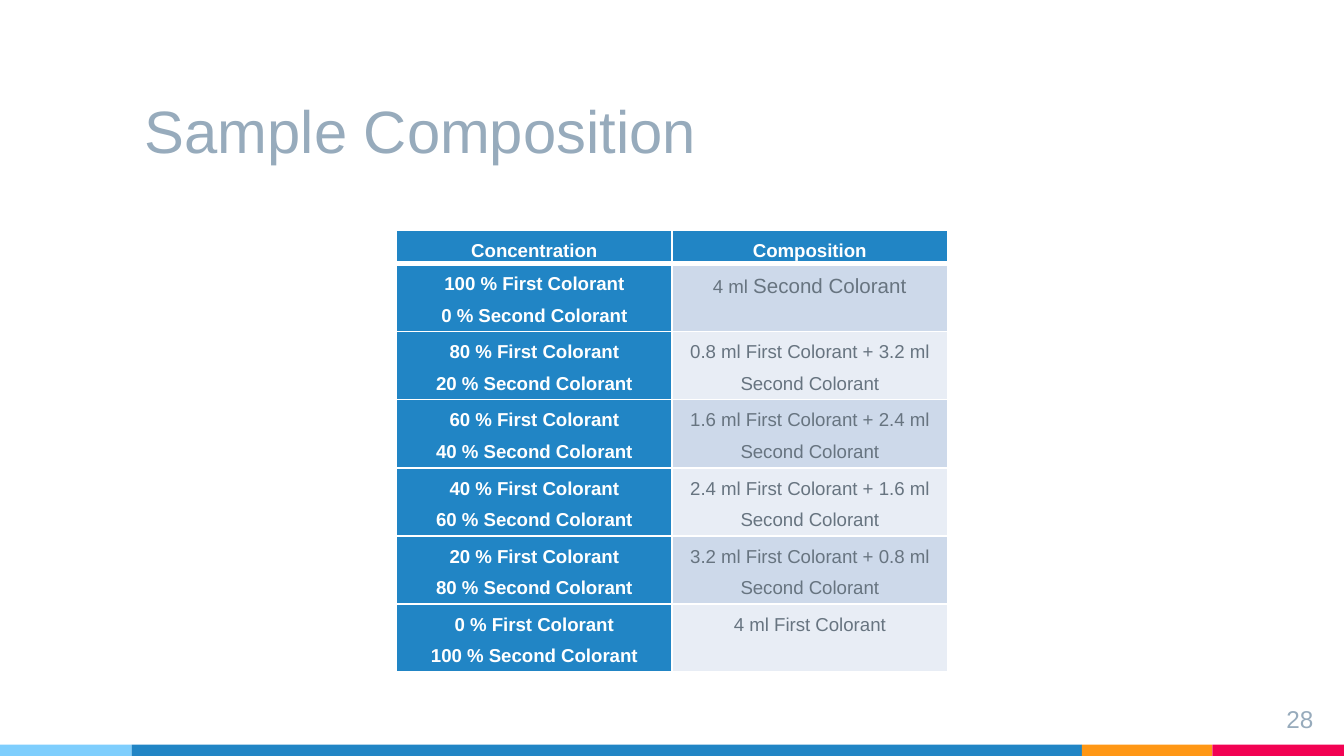
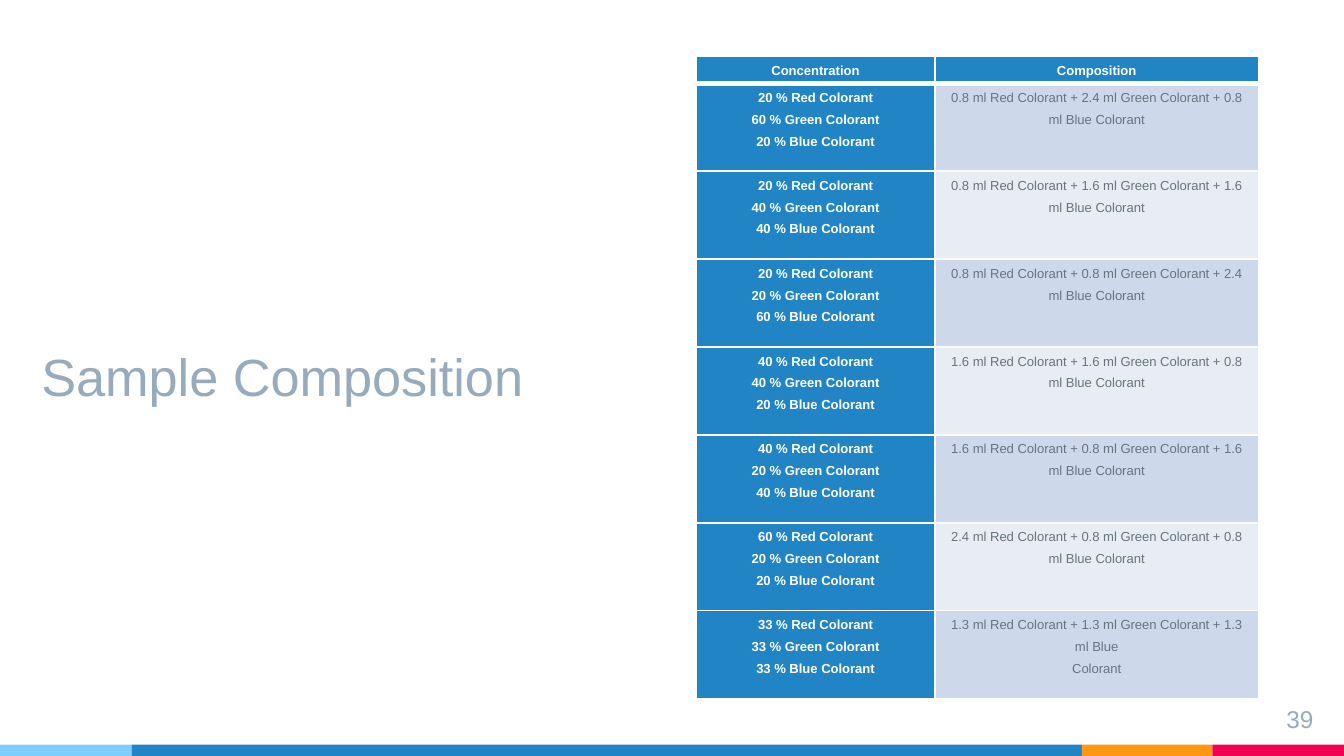
from pptx import Presentation
from pptx.dml.color import RGBColor as Rgb
from pptx.enum.shapes import MSO_SHAPE as Kind
from pptx.enum.text import MSO_ANCHOR as Anchor, PP_ALIGN as Align
from pptx.oxml.ns import qn
from pptx.util import Inches, Pt
from lxml.etree import SubElement as Sub, Element

WHITE = Rgb(0xFF, 0xFF, 0xFF)
BLUE = Rgb(0x21, 0x85, 0xC5)
SKY = Rgb(0x7E, 0xCE, 0xFD)
ORANGE = Rgb(0xFF, 0x97, 0x15)
PINK = Rgb(0xF2, 0x02, 0x53)
STEEL = Rgb(0x97, 0xAB, 0xBC)
SLATE = Rgb(0x67, 0x74, 0x80)
BANDS = Rgb(0xCD, 0xD9, 0xEA), Rgb(0xE8, 0xED, 0xF5)

WIDE, HIGH = Inches(10), Inches(5.625)
COLS, ROWS = 100, 56.25
STRIPES = [(0, SKY), (9.8, BLUE), (80.5, ORANGE), (90.2, PINK)]
TOTAL = 4  # ml in every sample


def col(count):
    """Length of a number of grid columns."""
    return round(WIDE * count / COLS)


def row(count):
    """Length of a number of grid rows."""
    return round(HIGH * count / ROWS)


def edge(props, place, side, width):
    """Put a white border line on one side of a table cell."""
    line = Element(qn("a:ln" + side), w=str(Pt(width)))
    Sub(Sub(line, qn("a:solidFill")), qn("a:srgbClr"), val=str(WHITE))
    props.insert(place, line)


class Deck:
    """Holds the shared style and the current slide."""

    font = "Arial"

    def __init__(self):
        """Start an empty presentation."""
        self.show = Presentation()
        self.show.slide_width, self.show.slide_height = WIDE, HIGH

    def page(self, number):
        """Add a slide with the foot stripes and its number."""
        self.slide = self.show.slides.add_slide(self.show.slide_layouts[6])
        ends = [left for left, _ in STRIPES[1:]] + [COLS]
        for (left, color), end in zip(STRIPES, ends):
            self.bar(left, end - left, color)
        self.text(str(number), (92.7, 51.4, 6, 3.4), 13, align=Align.RIGHT)

    def bar(self, left, width, color):
        """Draw one stripe along the foot of the slide."""
        bar = self.slide.shapes.add_shape(
            Kind.RECTANGLE, col(left), row(55.4), col(width), row(0.85))
        bar.shadow.inherit = False
        bar.fill.solid()
        bar.fill.fore_color.rgb = color
        bar.line.fill.background()

    def words(self, frame, lines, size, color, bold=False,
              align=Align.LEFT, space=1.0):
        """Fill a frame; a line is a string or a list of (text, size)."""
        for spot, line in enumerate(lines):
            para = frame.add_paragraph() if spot else frame.paragraphs[0]
            para.alignment, para.line_spacing = align, space
            runs = [(line, size)] if isinstance(line, str) else line
            for words, points in runs:
                run = para.add_run()
                run.text = words
                look = {"name": self.font, "size": Pt(points), "bold": bold}
                for key, value in look.items():
                    setattr(run.font, key, value)
                run.font.color.rgb = color

    def text(self, words, box, size, align=Align.LEFT, anchor=Anchor.TOP):
        """Add a text box at left, top, width, height in grid units."""
        left, top, width, height = box
        frame = self.slide.shapes.add_textbox(
            col(left), row(top), col(width), row(height)).text_frame
        pad = Inches(0.1)
        look = {"word_wrap": True, "vertical_anchor": anchor,
                "margin_left": pad, "margin_right": pad,
                "margin_top": pad, "margin_bottom": pad}
        for key, value in look.items():
            setattr(frame, key, value)
        self.words(frame, [words], size, STEEL, align=align)

    def title(self, words, left, top, size):
        """Add the slide title, standing on the bottom of its box."""
        self.text(words, (left, top, 70.7, 9.4), size, anchor=Anchor.BOTTOM)

    def table(self, spot, widths, heights, mixes, size, pad):
        """Add a table of mixes; heights are those of head and body rows."""
        data = [(["Concentration"], ["Composition"])] + mixes
        head, body = heights
        tall = head + body * len(mixes)
        grid = self.slide.shapes.add_table(
            len(data), 2, col(spot[0]), row(spot[1]),
            col(sum(widths)), row(tall)).table
        grid.first_row = grid.horz_banding = False
        for column, width in zip(grid.columns, widths):
            column.width = col(width)
        for at, pair in enumerate(data):
            grid.rows[at].height = row(body if at else head)
            for side, lines in enumerate(pair):
                cell = grid.cell(at, side)
                self.cell(cell, lines, at, at == 0 or side == 0, size, pad)

    def cell(self, cell, lines, at, label, size, pad):
        """Style one cell as a blue label or as a banded value."""
        look = {"margin_left": Inches(pad), "margin_right": Inches(pad),
                "margin_top": 0, "margin_bottom": 0}
        for key, value in look.items():
            setattr(cell, key, value)
        cell.fill.solid()
        cell.fill.fore_color.rgb = BLUE if label else BANDS[(at - 1) % 2]
        self.words(cell.text_frame, lines, size, WHITE if label else SLATE,
                   label, Align.CENTER, 1.5)
        thick = {"L": 1, "R": 1, "T": 3 if at == 1 else 1,
                 "B": 1 if at else 3}
        props = cell._tc.get_or_add_tcPr()
        for place, (side, width) in enumerate(thick.items()):
            edge(props, place, side, width)


def shares(names, parts):
    """List the percentage of each colorant."""
    return [f"{part} % {name} Colorant" for name, part in zip(names, parts)]


def blend(names, parts):
    """Join the volumes of the colorants in use."""
    return " + ".join(f"{TOTAL * part / 100:.2g} ml {name} Colorant"
                      for name, part in zip(names, parts) if part)


def pairs():
    """Rows for two colorants; volumes run against the percentages."""
    names = "First", "Second"
    mixes = [(shares(names, (part, 100 - part)),
              [blend(names, (100 - part, part))])
             for part in range(100, -1, -20)]
    mixes[0] = mixes[0][0], [[("4 ml ", 10), ("Second Colorant", 11)]]
    return mixes


def triples():
    """Rows for three colorants; the last volume breaks before its end."""
    names = "Red", "Green", "Blue"
    parts = [(20, 60, 20), (20, 40, 40), (20, 20, 60), (40, 40, 20),
             (40, 20, 40), (60, 20, 20), (33, 33, 33)]
    mixes = [(shares(names, part), [blend(names, part)]) for part in parts]
    mixes[-1][1][:] = mixes[-1][1][0].rsplit(" ", 1)
    return mixes


deck = Deck()

deck.page(28)
deck.title("Sample Composition", 9.8, 3.9, 32)
deck.table((29.5, 17.1), (20.5, 20.5), (2.4, 5.07), pairs(), 10, 0.07)

deck.page(39)
deck.title("Sample Composition", 2.1, 21.9, 28)
deck.table((51.8, 4.2), (17.75, 24.1), (2, 6.54), triples(), 7, 0.06)

deck.show.save("out.pptx")
